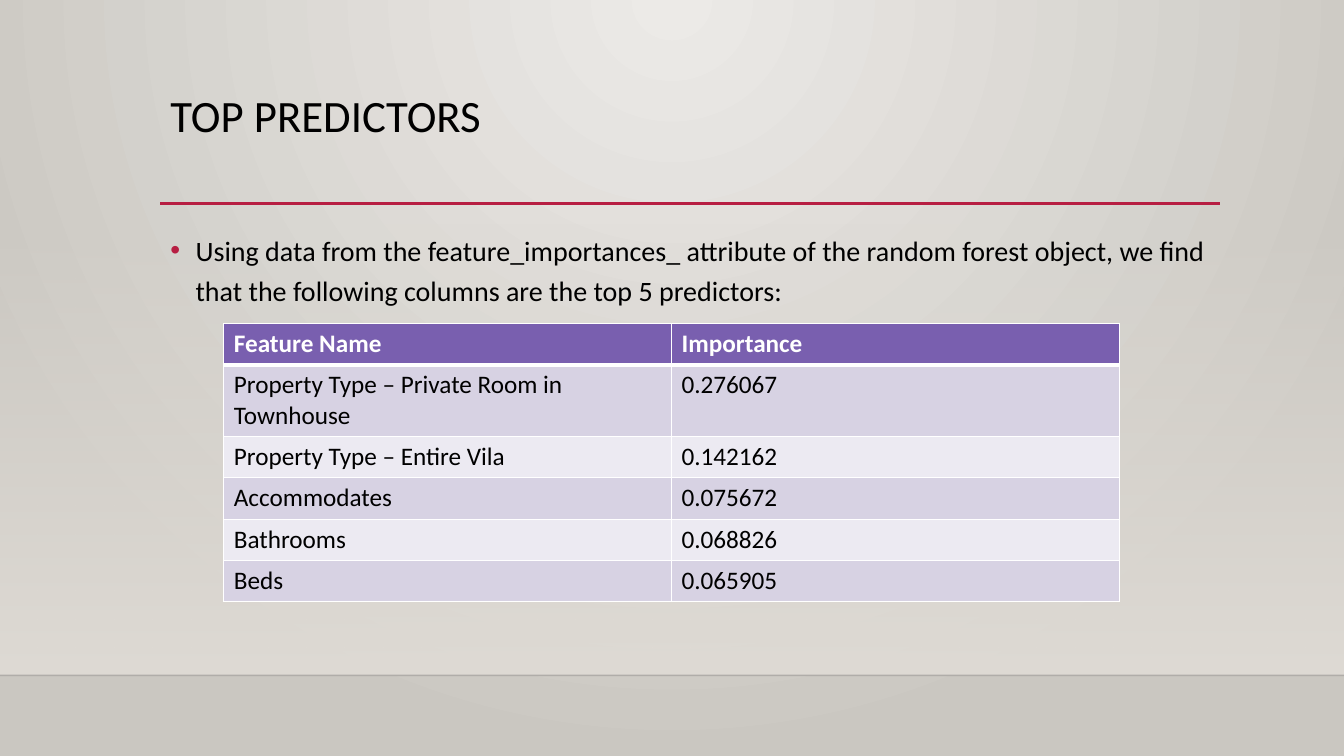
from dataclasses import dataclass

from lxml import etree
from pptx import Presentation
from pptx.dml.color import RGBColor
from pptx.enum.shapes import MSO_CONNECTOR, MSO_SHAPE
from pptx.enum.text import MSO_ANCHOR, MSO_AUTO_SIZE, PP_ALIGN
from pptx.oxml.ns import qn
from pptx.util import Inches, Pt

STRAIGHT = MSO_CONNECTOR.STRAIGHT
RECTANGLE = MSO_SHAPE.RECTANGLE
TOP = MSO_ANCHOR.TOP
LEFT = PP_ALIGN.LEFT
NO_FIT = MSO_AUTO_SIZE.NONE


@dataclass(frozen=True)
class Theme:
    font: str = "Calibri"
    title_size: int = 32
    body_size: int = 20
    table_size: int = 18
    text: str = "000000"
    white: str = "FFFFFF"
    accent: str = "B71E42"
    horizon: str = "000001"
    glow: str = "ECEAE7"
    edge: str = "CAC7C1"
    wall: str = "DFDBD5"
    header: str = "795FAF"
    bands: tuple = ("D7D2E3", "ECEAF2")


THEME = Theme()
WIDTH, HEIGHT = 13.33, 7.5
HORIZON_TOP = 6.7
MARGIN_LEFT = 1.59
TITLE = "TOP PREDICTORS"
BODY = (
    "Using data from the feature_importances_ attribute of the random forest object, "
    "we find that the following columns are the top 5 predictors:"
)
PREDICTORS = [
    ("Feature Name", "Importance"),
    ("Property Type – Private Room in Townhouse", "0.276067"),
    ("Property Type – Entire Vila", "0.142162"),
    ("Accommodates", "0.075672"),
    ("Bathrooms", "0.068826"),
    ("Beds", "0.065905"),
]


def set_format(target, values):
    for name, value in values.items():
        setattr(target, name, value)


def add_child(parent, tag, **attributes):
    return etree.SubElement(parent, qn(tag), attributes)


def set_alpha(element, percent):
    for colour in element.iter(qn("a:srgbClr")):
        add_child(colour, "a:alpha", val=str(percent * 1000))


def set_gradient(fill, colours):
    fill.gradient()
    for stop, colour in zip(fill.gradient_stops, colours):
        stop.color.rgb = RGBColor.from_string(colour)


def add_background(page):
    set_gradient(page.background.fill, (THEME.glow, THEME.edge))
    gradient = next(page.element.iter(qn("a:gradFill")))
    gradient.remove(gradient.find(qn("a:lin")))
    circle = add_child(gradient, "a:path", path="circle")
    add_child(circle, "a:fillToRect", l="43000", t="0", r="43000", b="100000")


def add_wall(page):
    top = 2.21
    wall = page.shapes.add_shape(
        RECTANGLE, 0, Inches(top), Inches(WIDTH), Inches(HORIZON_TOP - top)
    )
    wall.shadow.inherit = False
    wall.line.fill.background()
    set_gradient(wall.fill, (THEME.wall, THEME.wall))
    wall.fill.gradient_angle = 270
    set_alpha(next(wall.element.iter(qn("a:gs"))), 0)


def add_rule(page, left, right, top, colour, width):
    rule = page.shapes.add_connector(
        STRAIGHT, Inches(left), Inches(top), Inches(right), Inches(top)
    )
    rule.line.color.rgb = RGBColor.from_string(colour)
    rule.line.width = Pt(width)
    add_child(rule.element.spPr, "a:effectLst")
    return rule


def write_text(frame, text, size, colour, bold=False):
    para = frame.paragraphs[0]
    para.alignment = LEFT
    span = para.add_run()
    span.text = text
    set_format(span.font, {"name": THEME.font, "size": Pt(size), "bold": bold})
    span.font.color.rgb = RGBColor.from_string(colour)
    return para


def fill_placeholder(page, placeholder, top, height, text, size, spacing):
    set_format(
        placeholder,
        {
            "left": Inches(MARGIN_LEFT),
            "top": Inches(top),
            "width": Inches(10.5),
            "height": Inches(height),
        },
    )
    frame = placeholder.text_frame
    set_format(frame, {"word_wrap": True, "auto_size": NO_FIT, "vertical_anchor": TOP})
    para = write_text(frame, text, size, THEME.text)
    set_format(para, spacing)
    page.shapes.element.append(placeholder.element)
    return para


def add_bullet(para):
    properties = para.runs[0].font and para._p.get_or_add_pPr()
    properties.set("marL", str(Inches(0.25)))
    properties.set("indent", str(Inches(-0.25)))
    add_child(add_child(properties, "a:buClr"), "a:srgbClr", val=THEME.accent)
    add_child(properties, "a:buFont", typeface="Arial")
    add_child(properties, "a:buChar", char="•")


def set_borders(cell, widths):
    properties = cell._tc.get_or_add_tcPr()
    for position, (side, width) in enumerate(widths.items()):
        line = etree.Element(qn(f"a:{side}"), w=str(Pt(width)))
        add_child(add_child(line, "a:solidFill"), "a:srgbClr", val=THEME.white)
        properties.insert(position, line)


def add_predictor_table(page, rows):
    row_height, column_width = 0.41, 4.44
    table = page.shapes.add_table(
        len(rows), len(rows[0]), Inches(2.22), Inches(3.21),
        Inches(column_width * len(rows[0])), Inches(row_height * len(rows)),
    ).table
    for row in table.rows:
        row.height = Inches(row_height)
    for row_index, values in enumerate(rows):
        is_header = row_index == 0
        fill = THEME.header if is_header else THEME.bands[(row_index - 1) % 2]
        colour = THEME.white if is_header else THEME.text
        widths = {
            "lnL": 1,
            "lnR": 1,
            "lnT": 3 if row_index == 1 else 1,
            "lnB": 3 if is_header else 1,
        }
        for column_index, value in enumerate(values):
            cell = table.cell(row_index, column_index)
            cell.fill.solid()
            cell.fill.fore_color.rgb = RGBColor.from_string(fill)
            write_text(cell.text_frame, value, THEME.table_size, colour, is_header)
            set_borders(cell, widths)


def main():
    deck = Presentation()
    set_format(deck, {"slide_width": Inches(WIDTH), "slide_height": Inches(HEIGHT)})
    page = deck.slides.add_slide(deck.slide_layouts[1])
    add_background(page)
    add_wall(page)
    horizon = add_rule(page, 0, WIDTH, HORIZON_TOP, THEME.horizon, 1)
    set_alpha(horizon.element.spPr, 20)
    add_rule(page, MARGIN_LEFT, 12.1, 2.02, THEME.accent, 2.5)
    fill_placeholder(
        page, page.shapes.title, 0.88, 1.15, TITLE, THEME.title_size,
        {"line_spacing": 0.9},
    )
    body = fill_placeholder(
        page, page.placeholders[1], 2.2, 3.77, BODY, THEME.body_size,
        {"line_spacing": 1.2, "space_before": Pt(10)},
    )
    add_bullet(body)
    add_predictor_table(page, PREDICTORS)
    deck.save("out.pptx")


if __name__ == "__main__":
    main()
